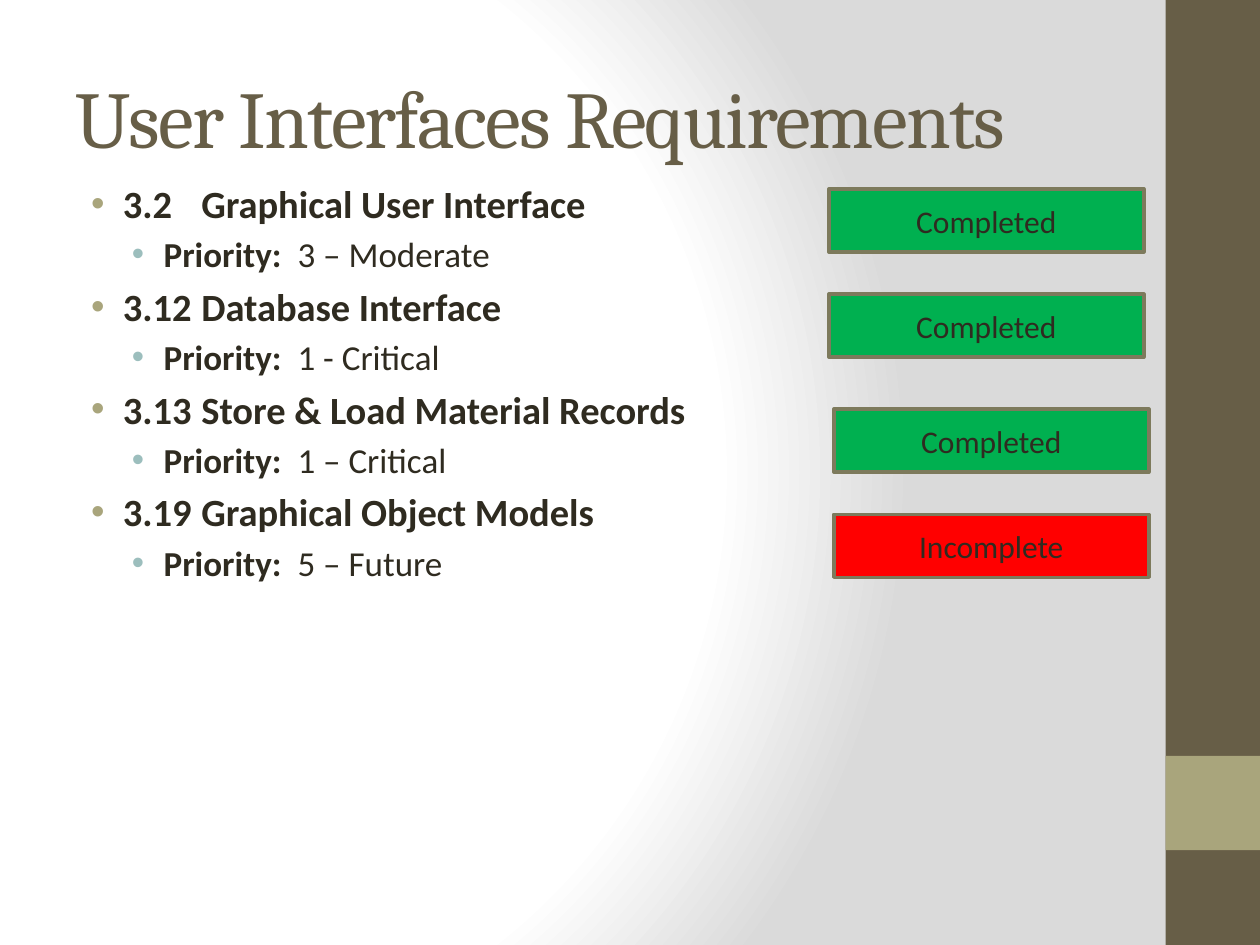
from pptx import Presentation
from pptx.dml.color import RGBColor
from pptx.enum.shapes import MSO_SHAPE
from pptx.enum.text import MSO_ANCHOR, PP_ALIGN
from pptx.oxml import parse_xml
from pptx.oxml.ns import nsdecls
from pptx.util import Cm, Pt

HUES = {"brown": "675E47", "olive": "A9A57C", "teal": "9CBEBD", "ink": "2F2B20",
        "edge": "7D7A5C", "green": "00B050", "red": "FF0000",
        "white": "FFFFFF", "grey": "DADADA"}


def hue(name):
    return RGBColor.from_string(HUES[name])


class Deck:
    body, head = "Calibri", "Cambria"

    def __init__(self, wide, high):
        self.file = Presentation()
        self.file.slide_width, self.file.slide_height = Cm(wide), Cm(high)
        self.slide = self.file.slides.add_slide(self.file.slide_layouts[6])

    def back(self, stops):
        marks = "".join(f'<a:gs pos="{pos * 1000}"><a:srgbClr val="{HUES[name]}"/></a:gs>'
                        for pos, name in stops)
        self.slide._element.cSld.insert(0, parse_xml(
            f'<p:bg {nsdecls("p", "a")}><p:bgPr><a:gradFill rotWithShape="1">'
            f'<a:gsLst>{marks}</a:gsLst><a:path path="circle">'
            '<a:fillToRect l="20000" t="50000" r="100000" b="50000"/></a:path>'
            '</a:gradFill><a:effectLst/></p:bgPr></p:bg>'))

    def rect(self, x, y, w, h, fill, edge=None):
        box = self.slide.shapes.add_shape(MSO_SHAPE.RECTANGLE, Cm(x), Cm(y), Cm(w), Cm(h))
        box.shadow.inherit = False
        box.fill.solid()
        box.fill.fore_color.rgb = hue(fill)
        if edge:
            box.line.color.rgb = hue(edge)
            box.line.width = Pt(2)
        else:
            box.line.fill.background()
        return box

    def text(self, x, y, w, h, anchor=MSO_ANCHOR.TOP):
        frame = self.slide.shapes.add_textbox(Cm(x), Cm(y), Cm(w), Cm(h)).text_frame
        frame.word_wrap = True
        frame.vertical_anchor = anchor
        return frame

    def run(self, para, text, size, color="ink", bold=False, font=None):
        run = para.add_run()
        run.text = text
        run.font.size, run.font.bold = Pt(size), bold
        run.font.name = font or self.body
        run.font.color.rgb = hue(color)
        return run

    def bullet(self, para, level, left, size, color):
        para.level = level
        para.space_before = Pt(size * 0.2)
        props = para._p.get_or_add_pPr()
        props.set("marL", str(Cm(left)))
        props.set("indent", str(Cm(-0.64)))
        for part in (f'<a:buClr {nsdecls("a")}><a:srgbClr val="{HUES[color]}"/></a:buClr>',
                     f'<a:buFont {nsdecls("a")} typeface="Arial"/>',
                     f'<a:buChar {nsdecls("a")} char="\u2022"/>'):
            props.append(parse_xml(part))

    def badge(self, x, y, text, fill):
        frame = self.rect(x, y, 6.35, 1.27, fill, "edge").text_frame
        frame.vertical_anchor = MSO_ANCHOR.MIDDLE
        para = frame.paragraphs[0]
        para.alignment = PP_ALIGN.CENTER
        self.run(para, text, 18)


deck = Deck(25.4, 19.05)

# Background and side band
deck.back([(0, "white"), (75, "white"), (100, "grey")])
deck.rect(23.5, 0, 1.9, 19.05, "brown")
deck.rect(23.5, 15.24, 1.9, 1.9, "olive")

# Title
title = deck.text(1.27, 0.76, 21.16, 3.18, MSO_ANCHOR.MIDDLE)
run = deck.run(title.paragraphs[0], "User Interfaces Requirements", 46, "brown", font=deck.head)
run.font._element.set("spc", "-100")

# Requirements with their priorities
needs = [("3.2", "Graphical User Interface", "3 \u2013 Moderate"),
         ("3.12", "Database Interface", "1 - Critical"),
         ("3.13", "Store & Load Material Records", "1 \u2013 Critical"),
         ("3.19", "Graphical Object Models", "5 \u2013 Future")]
frame = deck.text(1.27, 3.5, 21.16, 14.28)
para = frame.paragraphs[0]
for num, name, rank in needs:
    if para.runs:
        para = frame.add_paragraph()
    deck.bullet(para, 0, 0.96, 22, "olive")
    deck.run(para, f"{num}\t{name}", 22, bold=True)
    para = frame.add_paragraph()
    deck.bullet(para, 1, 1.78, 20, "teal")
    deck.run(para, "Priority:", 20, bold=True)
    deck.run(para, f"  {rank}", 20)

# Status badges, set in two pairs
states = ["Completed"] * 3 + ["Incomplete"]
for i, state in enumerate(states):
    pair, row = divmod(i, 2)
    deck.badge(16.71 + 0.1 * pair, 3.81 + 4.44 * pair + 2.12 * row, state,
               "green" if state == "Completed" else "red")

deck.file.save("out.pptx")
